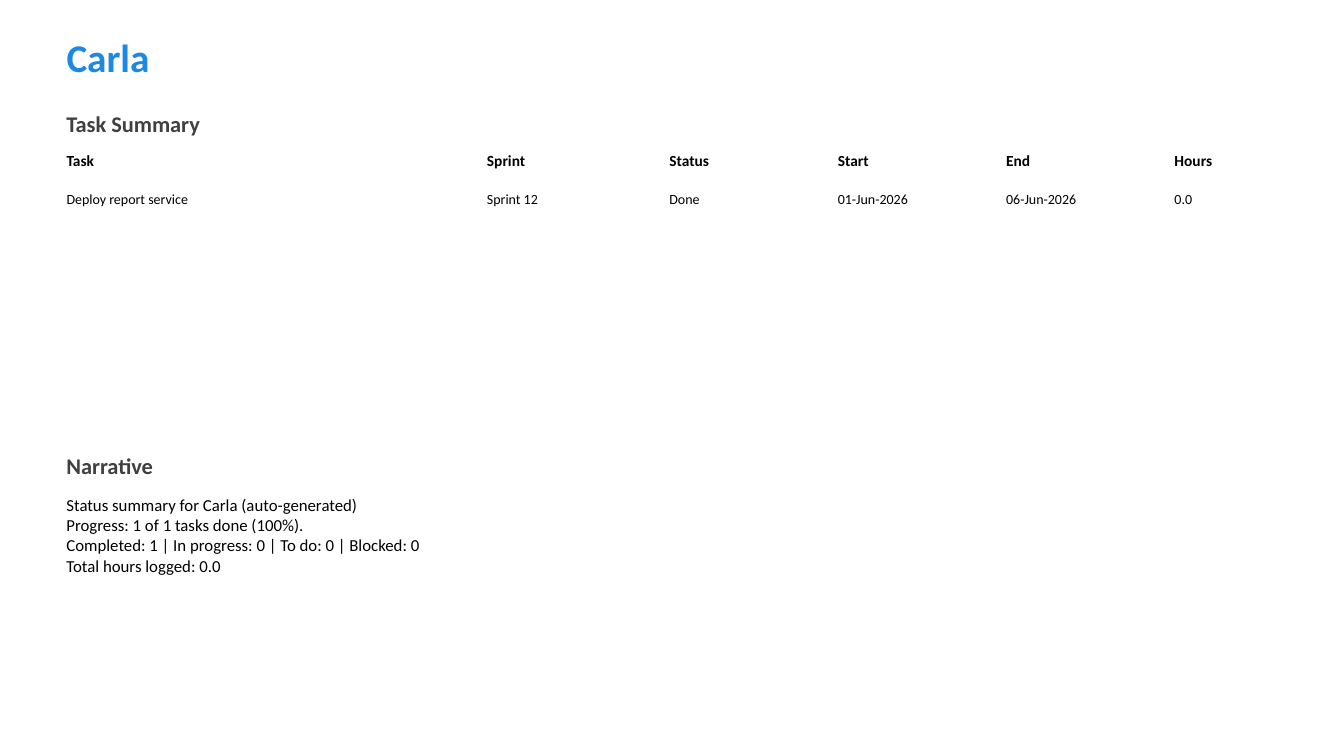
from pptx import Presentation
from pptx.dml.color import RGBColor
from pptx.enum.text import MSO_ANCHOR, MSO_AUTO_SIZE, PP_ALIGN
from pptx.util import Inches, Pt

BLUE = RGBColor(0x1E, 0x88, 0xE5)
GRAY = RGBColor(0x40, 0x40, 0x40)
BLACK = RGBColor(0x00, 0x00, 0x00)
FONT = "Calibri"
LEFT = 0.56
CONTENT_WIDTH = 12.22

TASK_COLUMNS = [("Task", 4.17), ("Sprint", 1.81), ("Status", 1.67),
                ("Start", 1.67), ("End", 1.67), ("Hours", 1.25)]
TASKS = [("Deploy report service", "Sprint 12", "Done",
          "01-Jun-2026", "06-Jun-2026", "0.0")]
HEADER_HEIGHT = 0.39
TASK_HEIGHT = 0.33
NARRATIVE = [
    "Status summary for Carla (auto-generated)",
    "Progress: 1 of 1 tasks done (100%).",
    "Completed: 1 | In progress: 0 | To do: 0 | Blocked: 0",
    "Total hours logged: 0.0",
]


def write_text(text_frame, text, size, color, bold=False):
    text_frame.text = text
    text_frame.word_wrap = True
    for paragraph in text_frame.paragraphs:
        paragraph.alignment = PP_ALIGN.LEFT
        for run in paragraph.runs:
            run.font.name = FONT
            run.font.size = Pt(size)
            run.font.bold = bold
            run.font.color.rgb = color


def set_title(slide, text):
    title = slide.shapes.title
    title.left, title.top = Inches(LEFT), Inches(0.28)
    title.width, title.height = Inches(CONTENT_WIDTH), Inches(0.69)
    write_text(title.text_frame, text, 28, BLUE, bold=True)
    title.text_frame.auto_size = MSO_AUTO_SIZE.NONE
    title.text_frame.vertical_anchor = MSO_ANCHOR.TOP


def add_text(slide, text, top, width, height, size, color, bold=False):
    box = slide.shapes.add_textbox(Inches(LEFT), Inches(top), Inches(width), Inches(height))
    write_text(box.text_frame, text, size, color, bold)


def add_heading(slide, text, top, width):
    add_text(slide, text, top, width, 0.42, 16, GRAY, bold=True)


def add_task_table(slide, top):
    height = HEADER_HEIGHT + TASK_HEIGHT * len(TASKS)
    table = slide.shapes.add_table(
        len(TASKS) + 1, len(TASK_COLUMNS), Inches(LEFT), Inches(top),
        Inches(CONTENT_WIDTH), Inches(height)).table
    table.horz_banding = False
    for column, (_, width) in zip(table.columns, TASK_COLUMNS):
        column.width = Inches(width)

    header = [name for name, _ in TASK_COLUMNS]
    for index, (row, values) in enumerate(zip(table.rows, [header, *TASKS])):
        is_header = index == 0
        row.height = Inches(HEADER_HEIGHT if is_header else TASK_HEIGHT)
        for cell, value in zip(row.cells, values):
            cell.fill.background()
            write_text(cell.text_frame, value, 11 if is_header else 10, BLACK, bold=is_header)


def main():
    presentation = Presentation()
    presentation.slide_width = Inches(13.33)
    presentation.slide_height = Inches(7.5)
    slide = presentation.slides.add_slide(presentation.slide_layouts.get_by_name("Title Only"))

    set_title(slide, "Carla")
    add_heading(slide, "Task Summary", 1.04, 5.56)
    add_task_table(slide, 1.46)
    add_heading(slide, "Narrative", 4.44, CONTENT_WIDTH)
    add_text(slide, "\n".join(NARRATIVE), 4.86, CONTENT_WIDTH, 2.29, 12, BLACK)
    presentation.save("out.pptx")


if __name__ == "__main__":
    main()
